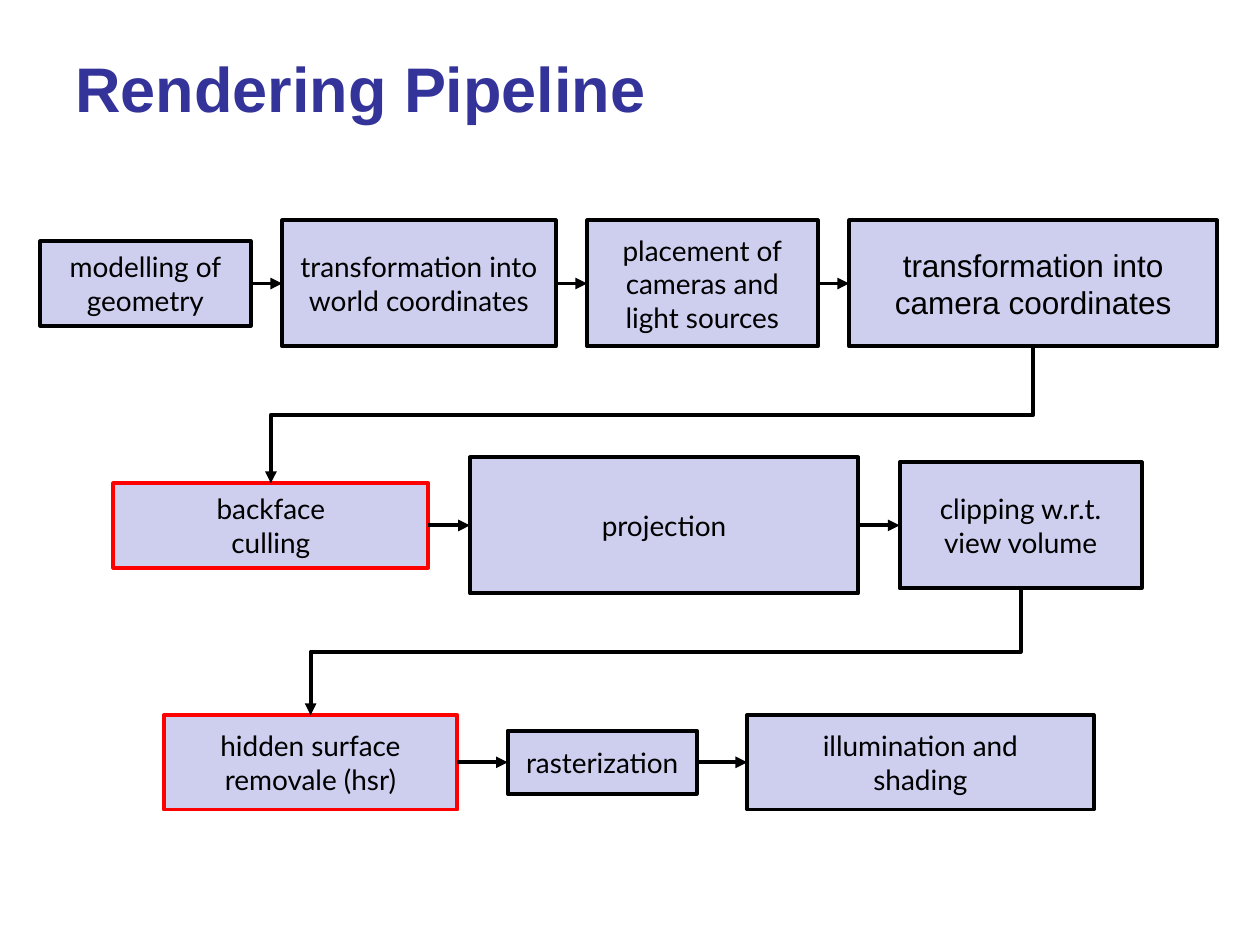
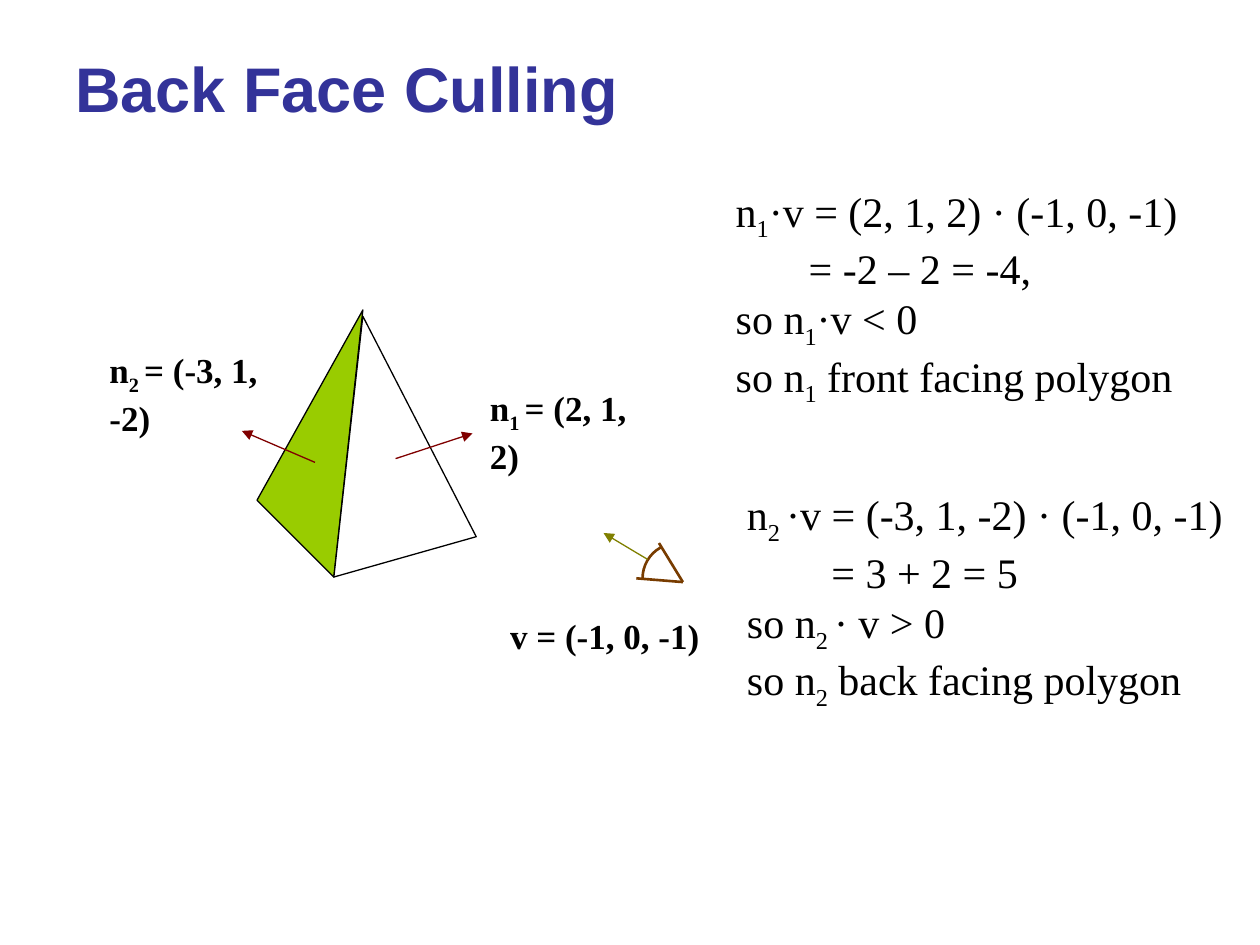
from lxml.etree import SubElement
from pptx import Presentation
from pptx.dml.color import RGBColor
from pptx.enum.shapes import MSO_CONNECTOR as Link, MSO_SHAPE as Preset
from pptx.enum.text import MSO_ANCHOR as Anchor, PP_ALIGN as Align
from pptx.oxml.ns import qn
from pptx.util import Inches, Pt

# Shared look
WIDTH, HEIGHT = 10, 7.5
INDIGO = RGBColor(0x33, 0x33, 0x99)
LAVENDER = RGBColor(0xCE, 0xCE, 0xEF)
BLACK = RGBColor(0, 0, 0)
WHITE = RGBColor(0xFF, 0xFF, 0xFF)
RED = RGBColor(0xFF, 0, 0)
GREEN = RGBColor(0x99, 0xCC, 0)
BROWN = RGBColor(0x78, 0x3C, 0)
MAROON = RGBColor(0x80, 0, 0)
OLIVE = RGBColor(0x80, 0x80, 0)
SANS, LATO, SERIF = "Arial", "Lato", "Times New Roman"
STAGE_LINE, THIN_LINE, EYE_LINE = 2.25, 0.75, 1.5

# Pipeline: rows of stages (text, width, height, outline, font, size)
PIPELINE = [
    {"left": 0.32, "middle": 2.25, "gap": 0.25, "stages": [
        ("modelling of\ngeometry", 1.67, 0.67, BLACK, LATO, 16),
        ("transformation into\nworld coordinates", 2.17, 1, BLACK, LATO, 16),
        ("placement of\ncameras and\nlight sources", 1.83, 1, BLACK, LATO, 16),
        ("transformation into\ncamera coordinates", 2.92, 1, BLACK, SANS, 18)]},
    {"left": 0.9, "middle": 4.17, "gap": 0.33, "stages": [
        ("backface\nculling", 2.5, 0.67, RED, LATO, 16),
        ("projection", 3.08, 1.08, BLACK, LATO, 16),
        ("clipping w.r.t.\nview volume", 1.92, 1, BLACK, LATO, 16)]},
    {"left": 1.3, "middle": 6.05, "gap": 0.4, "stages": [
        ("hidden surface\nremovale (hsr)", 2.33, 0.75, RED, LATO, 16),
        ("rasterization", 1.5, 0.5, BLACK, LATO, 16),
        ("illumination and\nshading", 2.75, 0.75, BLACK, LATO, 16)]},
]

# Culling: text between bars is subscript; each line is (text, indent)
LABELS = [
    ((3.95, 4.83, 1.7, 0.43), "v = (-1, 0, -1)"),
    ((0.77, 2.72, 1.76, 0.43), "n|2 |= (-3, 1, -2)"),
    ((3.79, 3.02, 1.58, 0.43), "n|1 |= (2, 1, 2)"),
]
EQUATIONS = [
    ((5.74, 1.42, 4.18, 1.72), [
        ("n|1|·v = (2, 1, 2) · (-1, 0, -1)", 0),
        ("= -2 – 2 = -4,", 0.58),
        ("so n|1|·v < 0", 0),
        ("so n|1| front facing polygon", 0)]),
    ((5.83, 3.83, 4.06, 1.72), [
        ("n|2 |·v = (-3, 1, -2) · (-1, 0, -1)", 0),
        ("= 3 + 2 = 5", 0.67),
        ("so n|2 |· v > 0", 0),
        ("so n|2| back facing polygon", 0)]),
]
FACES = [
    ([(2.04, 3.97), (2.88, 2.46), (2.65, 4.58)], GREEN),
    ([(2.65, 4.58), (2.88, 2.51), (3.78, 4.26)], WHITE),
]
VECTORS = [
    ((2.5, 3.67), (1.92, 3.42), MAROON),
    ((3.14, 3.64), (3.75, 3.44), MAROON),
    ((5.14, 4.44), (4.79, 4.23), OLIVE),
]
EYE_CORNER, EYE_LIDS = (5.42, 4.62), [(5.05, 4.59), (5.23, 4.31)]
IRIS_CENTRE, IRIS_RADIUS, IRIS_ANGLES = (5.38, 4.59), 0.28, (180, 241.8)


def inches(*lengths):
    return [Inches(length) for length in lengths]


def add_span(para, text, font, size, color, bold=False):
    span = para.add_run()
    span.text = text
    span.font.name, span.font.size = font, Pt(size)
    span.font.color.rgb, span.font.bold = color, bold
    return span


def add_box(page, place):
    box = page.shapes.add_textbox(*inches(*place))
    box.text_frame.word_wrap = True
    return box.text_frame


def add_page(deck, title):
    page = deck.slides.add_slide(deck.slide_layouts[6])
    frame = add_box(page, (0.05 * WIDTH, 0.04 * HEIGHT, 0.9 * WIDTH, 0.78))
    frame.vertical_anchor = Anchor.MIDDLE
    add_span(frame.paragraphs[0], title, SANS, 36, INDIGO, True)
    return page


def style_shape(shape, fill, color, width):
    shape.shadow.inherit = False
    if fill is None:
        shape.fill.background()
    else:
        shape.fill.solid()
        shape.fill.fore_color.rgb = fill
    shape.line.color.rgb, shape.line.width = color, Pt(width)


def add_line(page, start, end, color, width, arrow=True, kind=Link.STRAIGHT):
    line = page.shapes.add_connector(kind, *inches(*start, *end))
    line.line.color.rgb, line.line.width = color, Pt(width)
    if arrow:
        SubElement(line.line._get_or_add_ln(), qn("a:tailEnd"), type="triangle")
    SubElement(line._element.spPr, qn("a:effectLst"))
    return line


def add_drop(page, start, end):
    """Elbow that leaves downwards: a sideways elbow turned by 90 degrees."""
    across, down = start[0] - end[0], end[1] - start[1]
    x, y = (start[0] + end[0]) / 2, (start[1] + end[1]) / 2
    elbow = add_line(page, (x - down / 2, y - across / 2),
                     (x + down / 2, y + across / 2),
                     BLACK, STAGE_LINE, kind=Link.ELBOW)
    elbow._element.spPr.find(qn("a:xfrm")).set("rot", str(90 * 60000))


def add_stage(page, place, text, outline, font, size):
    stage = page.shapes.add_shape(Preset.RECTANGLE, *inches(*place))
    style_shape(stage, LAVENDER, outline, STAGE_LINE)
    frame = stage.text_frame
    frame.word_wrap, frame.vertical_anchor = False, Anchor.MIDDLE
    para = frame.paragraphs[0]
    para.alignment = Align.CENTER
    for number, line in enumerate(text.split("\n")):
        if number:
            para.add_line_break()
        add_span(para, line, font, size, BLACK)


def add_formula(page, place, lines, size, bold=False):
    frame = add_box(page, place)
    for number, (text, indent) in enumerate(lines):
        para = frame.add_paragraph() if number else frame.paragraphs[0]
        if indent:
            para._p.get_or_add_pPr().set("marL", str(Inches(indent)))
        for part, piece in enumerate(text.split("|")):
            span = add_span(para, piece, SERIF, size, BLACK, bold)
            if part % 2:
                span._r.get_or_add_rPr().set("baseline", "-25000")


def build_pipeline(deck):
    page = add_page(deck, "Rendering Pipeline")
    row_end = None
    for row in PIPELINE:
        left, middle, gap = row["left"], row["middle"], row["gap"]
        for number, (text, width, height, *look) in enumerate(row["stages"]):
            top, centre = middle - height / 2, left + width / 2
            add_stage(page, (left, top, width, height), text, *look)
            if number:
                add_line(page, (left - gap, middle), (left, middle),
                         BLACK, STAGE_LINE)
            elif row_end:
                add_drop(page, row_end, (centre, top))
            left += width + gap
        row_end = (centre, middle + height / 2)


def build_culling(deck):
    page = add_page(deck, "Back Face Culling")
    # Pyramid
    for corners, fill in FACES:
        start, *rest = [inches(*corner) for corner in corners]
        outline = page.shapes.build_freeform(*start)
        outline.add_line_segments(rest, close=True)
        style_shape(outline.convert_to_shape(), fill, BLACK, THIN_LINE)
    # Eye
    for lid in EYE_LIDS:
        add_line(page, EYE_CORNER, lid, BROWN, EYE_LINE, arrow=False)
    x, y = IRIS_CENTRE
    iris = page.shapes.add_shape(Preset.ARC, *inches(
        x - IRIS_RADIUS, y - IRIS_RADIUS, 2 * IRIS_RADIUS, 2 * IRIS_RADIUS))
    for number, angle in enumerate(IRIS_ANGLES):
        iris.adjustments[number] = angle * 0.6
    style_shape(iris, None, BROWN, EYE_LINE)
    # Text and vectors
    for place, text in LABELS:
        add_formula(page, place, [(text, 0)], 20, bold=True)
    for place, lines in EQUATIONS:
        add_formula(page, place, lines, 24)
    for start, end, color in VECTORS:
        add_line(page, start, end, color, THIN_LINE)


def main():
    deck = Presentation()
    deck.slide_width, deck.slide_height = inches(WIDTH, HEIGHT)
    build_pipeline(deck)
    build_culling(deck)
    deck.save("out.pptx")


if __name__ == "__main__":
    main()
